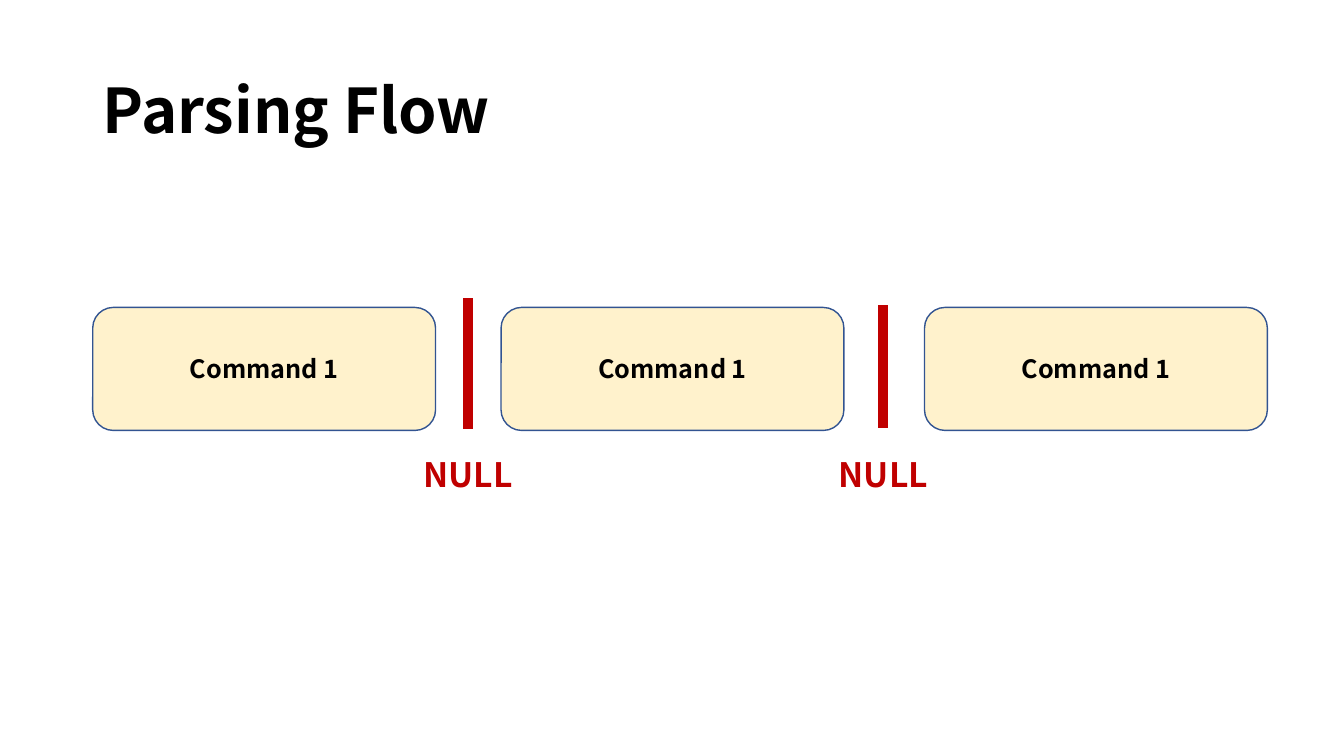
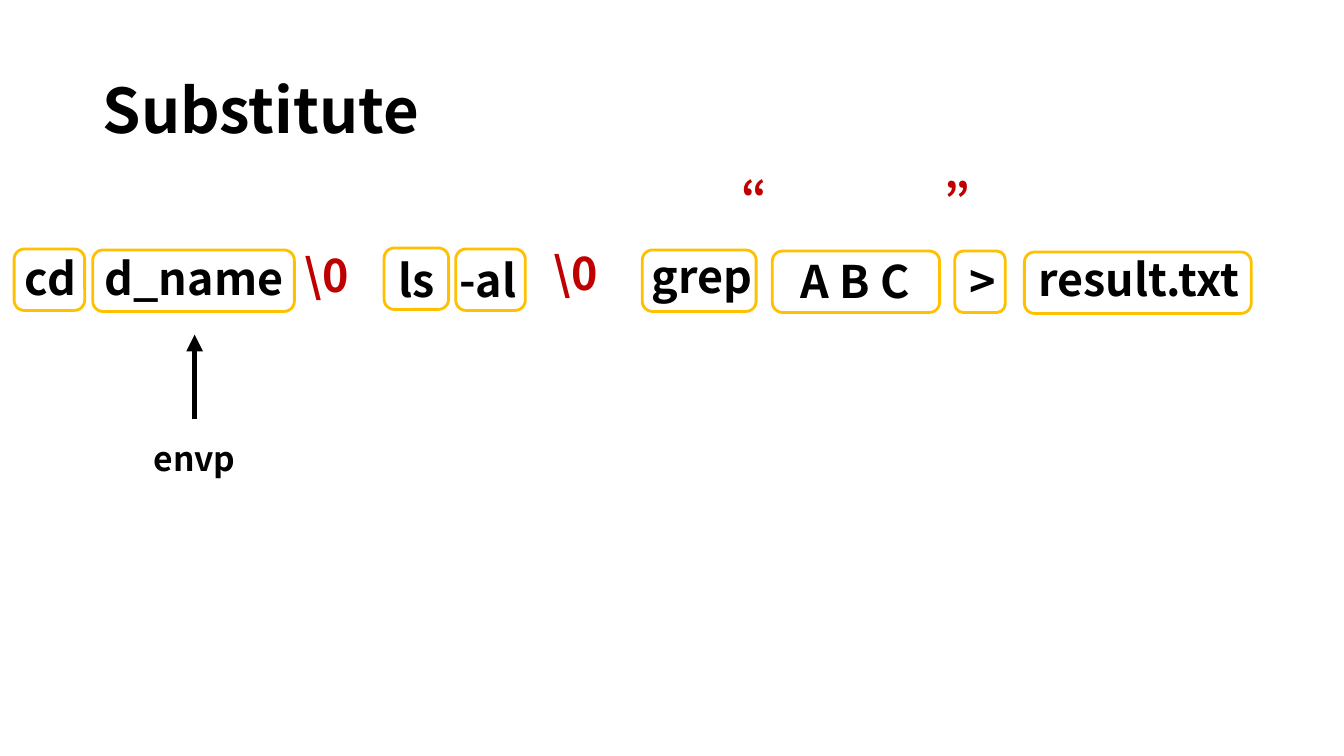
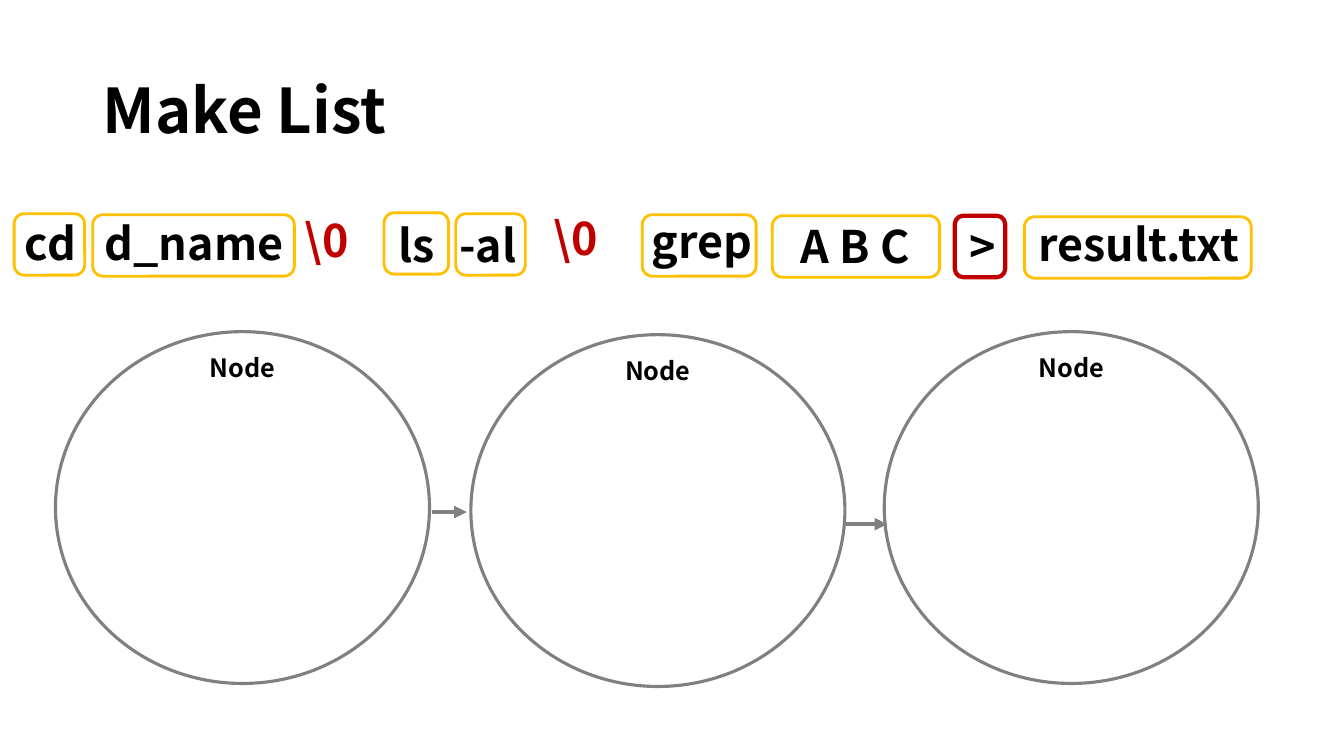
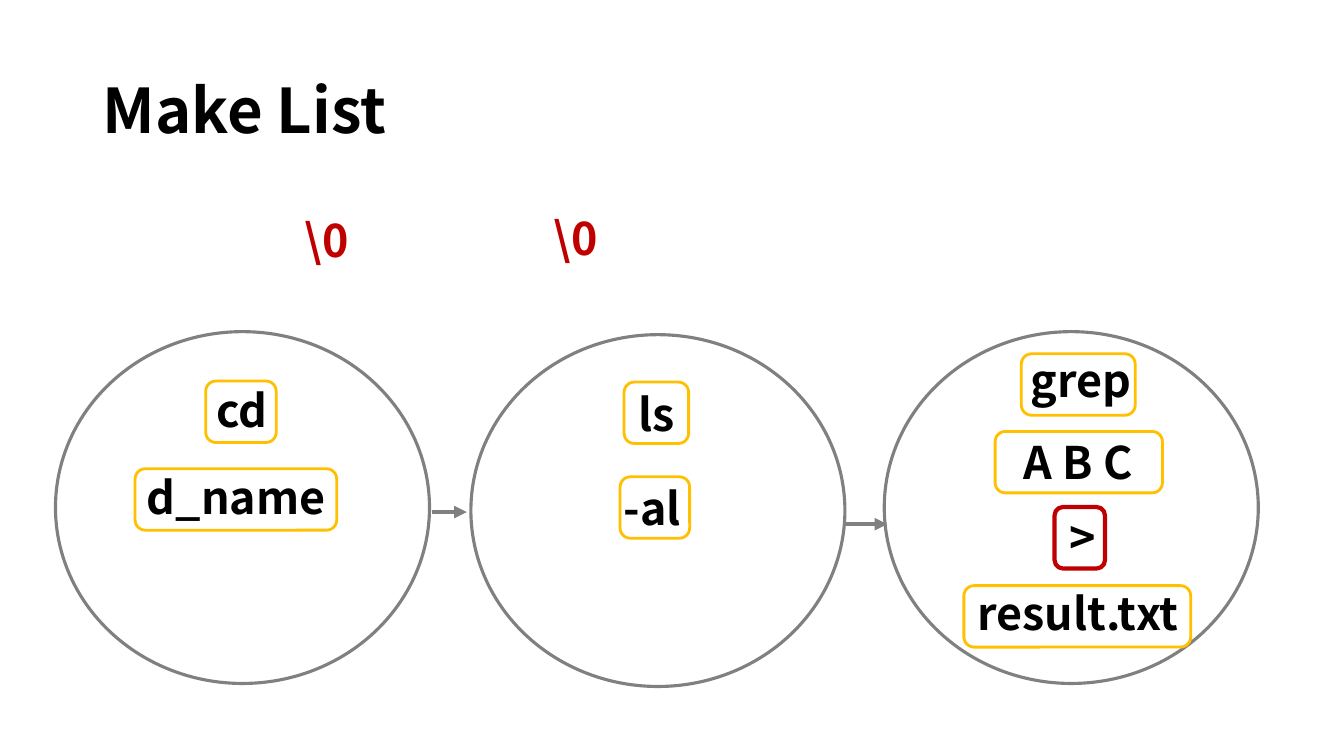
from dataclasses import dataclass
from lxml.etree import SubElement
from pptx import Presentation
from pptx.dml.color import RGBColor
from pptx.enum.shapes import MSO_CONNECTOR, MSO_SHAPE
from pptx.enum.text import MSO_ANCHOR, MSO_AUTO_SIZE, PP_ALIGN
from pptx.oxml.ns import qn
from pptx.util import Inches, Pt

COLORS = {
    "black": "000000",
    "white": "FFFFFF",
    "red": "C00000",
    "gold": "FFC000",
    "cream": "FFF2CC",
    "navy": "325491",
    "gray": "808080",
}


@dataclass
class Token:
    text: str
    width: float
    row_left: float
    row_top: float
    label_width: float
    label_dx: float
    label_dy: float


TOKENS = [
    Token("cd", 0.7, 0.14, 2.47, 1.04, -0.16, -0.03),
    Token("d_name", 2, 0.92, 2.48, 2.09, -0.04, -0.04),
    Token("ls", 0.64, 3.81, 2.46, 1.5, -0.43, 0),
    Token("-al", 0.69, 4.52, 2.47, 1.5, -0.43, -0.01),
    Token("grep", 1.13, 6.37, 2.48, 1.5, -0.16, -0.06),
    Token("A B C", 1.66, 7.66, 2.49, 1.99, -0.17, -0.02),
    Token(">", 0.5, 9.47, 2.49, 1.99, -0.72, -0.02),
    Token("result.txt", 2.25, 10.16, 2.5, 2.67, -0.2, -0.05),
]
NODE_PLACES = [
    (2.04, 3.78), (1.34, 4.65), (6.19, 3.79), (6.15, 4.73),
    (10.13, 3.51), (9.87, 4.28), (10.46, 5.03), (9.56, 5.81),
]
TERMINATORS = [(2.49, 2.41), (4.96, 2.39)]
CIRCLES = [(0.55, 3.29), (4.67, 3.32), (8.77, 3.29)]
CIRCLE_WIDTH, CIRCLE_HEIGHT = 3.71, 3.49
ROW_SHIFT = -0.35


class Deck:
    font_name = "Noto Sans CJK KR"

    def __init__(self):
        self.deck = Presentation()
        self.deck.slide_width = Inches(13.33)
        self.deck.slide_height = Inches(7.5)
        self.page = None

    def color(self, name):
        return RGBColor.from_string(COLORS[name])

    def new_page(self, title):
        self.page = self.deck.slides.add_slide(self.deck.slide_layouts[6])
        box = self.page.shapes.add_textbox(
            Inches(0.92), Inches(0.4), Inches(11.5), Inches(1.45))
        box.text_frame.word_wrap = True
        self.put_text(box, title, 44, align=PP_ALIGN.LEFT)
        box.text_frame.paragraphs[0].line_spacing = 0.9

    def put_text(self, box, text, size, color="black",
                 align=PP_ALIGN.CENTER, anchor=MSO_ANCHOR.MIDDLE):
        box.text_frame.vertical_anchor = anchor
        para = box.text_frame.paragraphs[0]
        para.alignment = align
        span = para.add_run()
        span.text = text
        span.font.color.rgb = self.color(color)
        formats = {"name": self.font_name, "size": Pt(size), "bold": True}
        for key, value in formats.items():
            setattr(span.font, key, value)

    def label(self, text, left, top, width, size=32, color="black"):
        height = {18: 0.46, 24: 0.5, 32: 0.64}[size]
        box = self.page.shapes.add_textbox(
            Inches(left), Inches(top), Inches(width), Inches(height))
        box.text_frame.word_wrap = True
        box.text_frame.auto_size = MSO_AUTO_SIZE.SHAPE_TO_FIT_TEXT
        self.put_text(box, text, size, color, anchor=MSO_ANCHOR.TOP)

    def shape(self, kind, left, top, width, height, line, weight, fill=None):
        shape = self.page.shapes.add_shape(
            kind, Inches(left), Inches(top), Inches(width), Inches(height))
        shape.shadow.inherit = False
        if fill:
            shape.fill.solid()
            shape.fill.fore_color.rgb = self.color(fill)
        else:
            shape.fill.background()
        shape.line.color.rgb = self.color(line)
        shape.line.width = Pt(weight)
        return shape

    def line(self, start, end, color, weight, arrow=False):
        line = self.page.shapes.add_connector(
            MSO_CONNECTOR.STRAIGHT, *map(Inches, (*start, *end)))
        line.line.color.rgb = self.color(color)
        line.line.width = Pt(weight)
        properties = line._element.spPr
        if arrow:
            SubElement(properties.find(qn("a:ln")), qn("a:tailEnd"), type="triangle")
        SubElement(properties, qn("a:effectLst"))

    def command(self, left):
        box = self.shape(MSO_SHAPE.ROUNDED_RECTANGLE, left, 3.05, 3.4, 1.22,
                         "navy", 1, "cream")
        self.put_text(box, "Command 1", 18)

    def token(self, token, left, top, mark_operator):
        line, weight = ("red", 3) if mark_operator and token.text == ">" else ("gold", 2)
        self.label(token.text, left + token.label_dx, top + token.label_dy,
                   token.label_width)
        self.shape(MSO_SHAPE.ROUNDED_RECTANGLE, left, top, token.width, 0.61,
                   line, weight)

    def token_row(self, shift=0, mark_operator=False):
        for token in TOKENS:
            self.token(token, token.row_left, token.row_top + shift, mark_operator)

    def terminators(self, shift=0):
        for left, top in TERMINATORS:
            self.label("\\0", left, top + shift, 1.5, color="red")

    def node_chain(self, caption=None):
        for left, top in CIRCLES:
            self.shape(MSO_SHAPE.OVAL, left, top, CIRCLE_WIDTH, CIRCLE_HEIGHT,
                       "gray", 2.25, "white")
            if caption:
                self.label(caption, left, top + 0.16, CIRCLE_WIDTH, 18)
        for start, end, y in [(4.28, 4.63, 5.08), (8.38, 8.8, 5.2)]:
            self.line((start, y), (end, y), "gray", 3, arrow=True)

    def parsing_flow(self):
        self.new_page("Parsing Flow")
        for left in (0.92, 4.97, 9.17):
            self.command(left)
        for x, top, bottom in [(4.64, 2.96, 4.26), (8.76, 3.03, 4.25)]:
            self.line((x, top), (x, bottom), "red", 7)
            self.label("NULL", x - 0.59, 4.45, 1.18, 24, "red")

    def substitute(self):
        self.new_page("Substitute")
        self.token_row()
        self.terminators()
        self.label("envp", 1.34, 4.3, 1.18, 24)
        self.line((1.93, 4.16), (1.93, 3.32), "black", 4, arrow=True)
        for quote, left, top in [("“", 6.49, 1.63), ("”", 8.5, 1.65)]:
            self.label(quote, left, top, 1.99, color="red")

    def make_list(self):
        self.new_page("Make List")
        self.node_chain("Node")
        self.token_row(ROW_SHIFT, mark_operator=True)
        self.terminators(ROW_SHIFT)

    def filled_list(self):
        self.new_page("Make List")
        self.node_chain()
        self.terminators(ROW_SHIFT)
        for token, (left, top) in zip(TOKENS, NODE_PLACES):
            self.token(token, left, top, mark_operator=True)


def main():
    show = Deck()
    show.parsing_flow()
    show.substitute()
    show.make_list()
    show.filled_list()
    show.deck.save("out.pptx")


if __name__ == "__main__":
    main()
